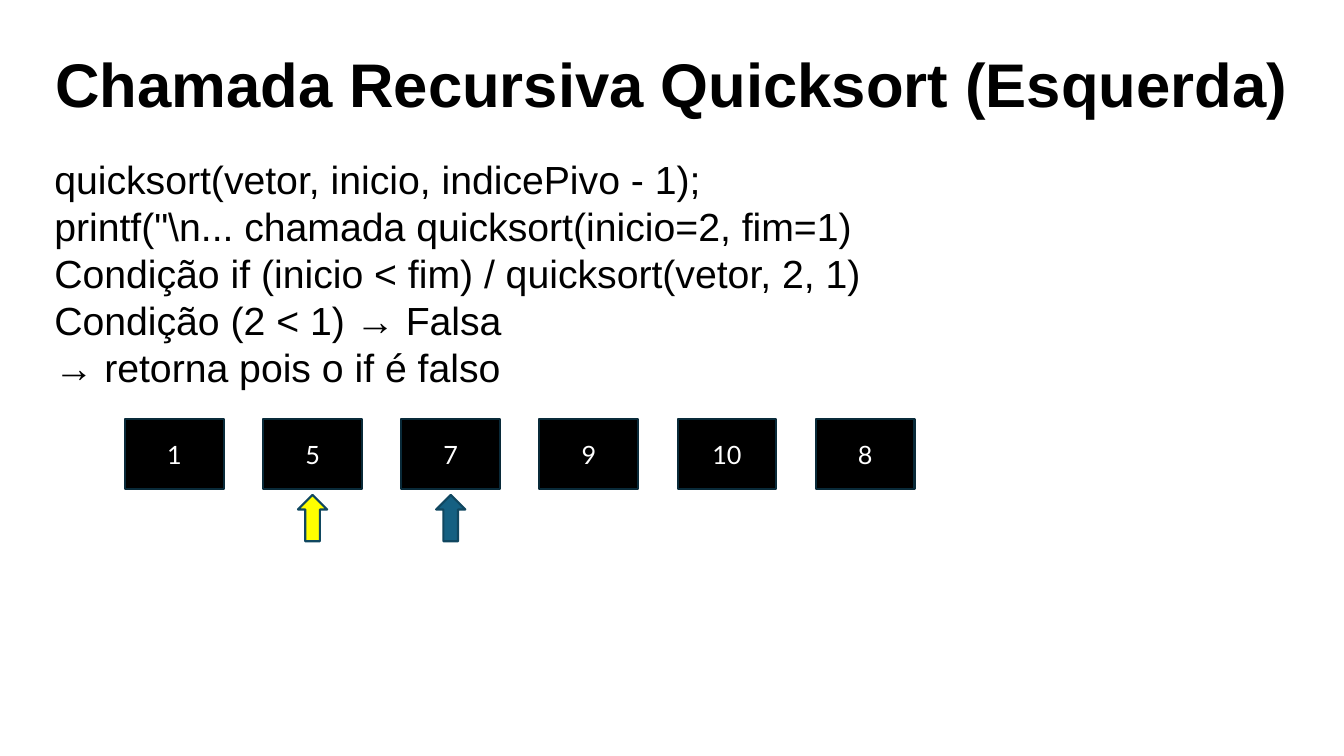
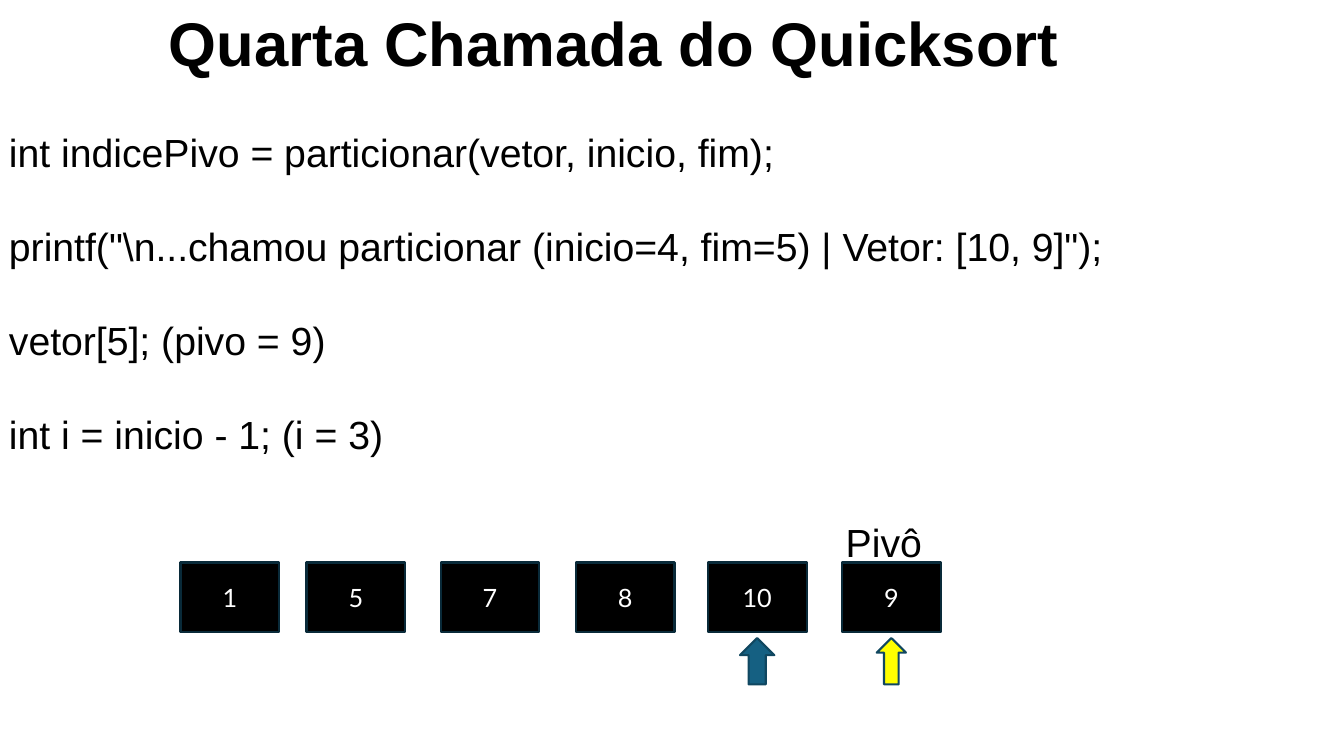
import pptx
import pptx.dml.color
import pptx.enum.shapes
import pptx.enum.text
import pptx.util

Inches = pptx.util.Inches
Pt = pptx.util.Pt
RGBColor = pptx.dml.color.RGBColor
Shape = pptx.enum.shapes.MSO_SHAPE
Align = pptx.enum.text.PP_ALIGN

BLACK = RGBColor(0x00, 0x00, 0x00)
WHITE = RGBColor(0xFF, 0xFF, 0xFF)
YELLOW = RGBColor(0xFF, 0xFF, 0x00)
BLUE = RGBColor(0x15, 0x60, 0x82)
CELL_LINE = RGBColor(0x09, 0x2A, 0x39)
ARROW_LINE = RGBColor(0x10, 0x47, 0x60)

CELL_WIDTH = 0.98
CELL_HEIGHT = 0.69
LINE_HEIGHT = 1.2


def write_text(frame, lines, size=28, font="Arial", color=BLACK, bold=False,
               align=Align.LEFT, line_height=LINE_HEIGHT, gap=0):
    for index, line in enumerate(lines):
        paragraph = frame.paragraphs[0] if index == 0 else frame.add_paragraph()
        paragraph.alignment = align
        paragraph.line_spacing = Pt(size * line_height)
        paragraph.space_before = Pt(gap if index else 0)
        run = paragraph.add_run()
        run.text = line
        run.font.size = Pt(size)
        run.font.name = font
        run.font.bold = bold
        run.font.color.rgb = color


class Deck:
    def __init__(self):
        self.presentation = pptx.Presentation()
        self.presentation.slide_width = Inches(13.33)
        self.presentation.slide_height = Inches(7.5)
        self.slide = None

    def new_slide(self):
        self.slide = self.presentation.slides.add_slide(self.presentation.slide_layouts[6])

    def text(self, lines, left, top, width, height, **style):
        box = self.slide.shapes.add_textbox(
            Inches(left), Inches(top), Inches(width), Inches(height))
        box.text_frame.word_wrap = True
        write_text(box.text_frame, lines, **style)

    def title(self, text, left, top, width, height):
        self.text([text], left, top, width, height, size=44, bold=True, align=Align.CENTER)

    def shape(self, kind, left, top, width, height, fill, line):
        shape = self.slide.shapes.add_shape(
            kind, Inches(left), Inches(top), Inches(width), Inches(height))
        shape.shadow.inherit = False
        shape.fill.solid()
        shape.fill.fore_color.rgb = fill
        shape.line.color.rgb = line
        shape.line.width = Pt(1.5)
        return shape

    def array(self, values, lefts, top):
        for value, left in zip(values, lefts):
            cell = self.shape(Shape.RECTANGLE, left, top, CELL_WIDTH, CELL_HEIGHT,
                              BLACK, CELL_LINE)
            cell.text_frame.vertical_anchor = pptx.enum.text.MSO_ANCHOR.MIDDLE
            write_text(cell.text_frame, [str(value)], size=18, font="Lato",
                       color=WHITE, align=Align.CENTER)

    def pointer(self, cell_left, array_top, fill, width=0.29):
        left = cell_left + (CELL_WIDTH - width) / 2
        top = array_top + CELL_HEIGHT + 0.06
        self.shape(Shape.UP_ARROW, left, top, width, 0.46, fill, ARROW_LINE)


def left_call_slide(deck):
    deck.new_slide()
    deck.title("Chamada Recursiva Quicksort (Esquerda)", 0, 0.41, 13.33, 0.84)
    deck.text([
        "quicksort(vetor, inicio, indicePivo - 1);",
        'printf("\\n... chamada quicksort(inicio=2, fim=1)',
        "Condição if (inicio < fim) / quicksort(vetor, 2, 1)",
        "Condição (2 < 1) → Falsa",
        "→ retorna pois o if é falso",
    ], 0.44, 1.49, 10, 2.76)
    top = 4.16
    lefts = [1.24 + 1.37 * index for index in range(6)]
    deck.array([1, 5, 7, 9, 10, 8], lefts, top)
    deck.pointer(lefts[1], top, YELLOW)
    deck.pointer(lefts[2], top, BLUE)


def fourth_call_slide(deck):
    deck.new_slide()
    deck.title("Quarta Chamada do Quicksort", 0.33, 0, 11.53, 1.18)
    deck.text([
        "int indicePivo = particionar(vetor, inicio, fim);",
        'printf("\\n...chamou particionar (inicio=4, fim=5) | Vetor: [10, 9]");',
        "vetor[5]; (pivo = 9)",
        "int i = inicio - 1; (i = 3)",
    ], -0.01, 1.22, 12.05, 4.01, gap=28 * LINE_HEIGHT)
    top = 5.58
    lefts = [1.79, 3.04, 4.37, 5.71, 7.02, 8.35]
    deck.array([1, 5, 7, 8, 10, 9], lefts, top)
    deck.text(["Pivô"], 8.29, 5.09, 0.96, 0.57)
    deck.pointer(lefts[4], top, BLUE, width=0.34)
    deck.pointer(lefts[5], top, YELLOW)


def main():
    deck = Deck()
    left_call_slide(deck)
    fourth_call_slide(deck)
    deck.presentation.save("out.pptx")


if __name__ == "__main__":
    main()
